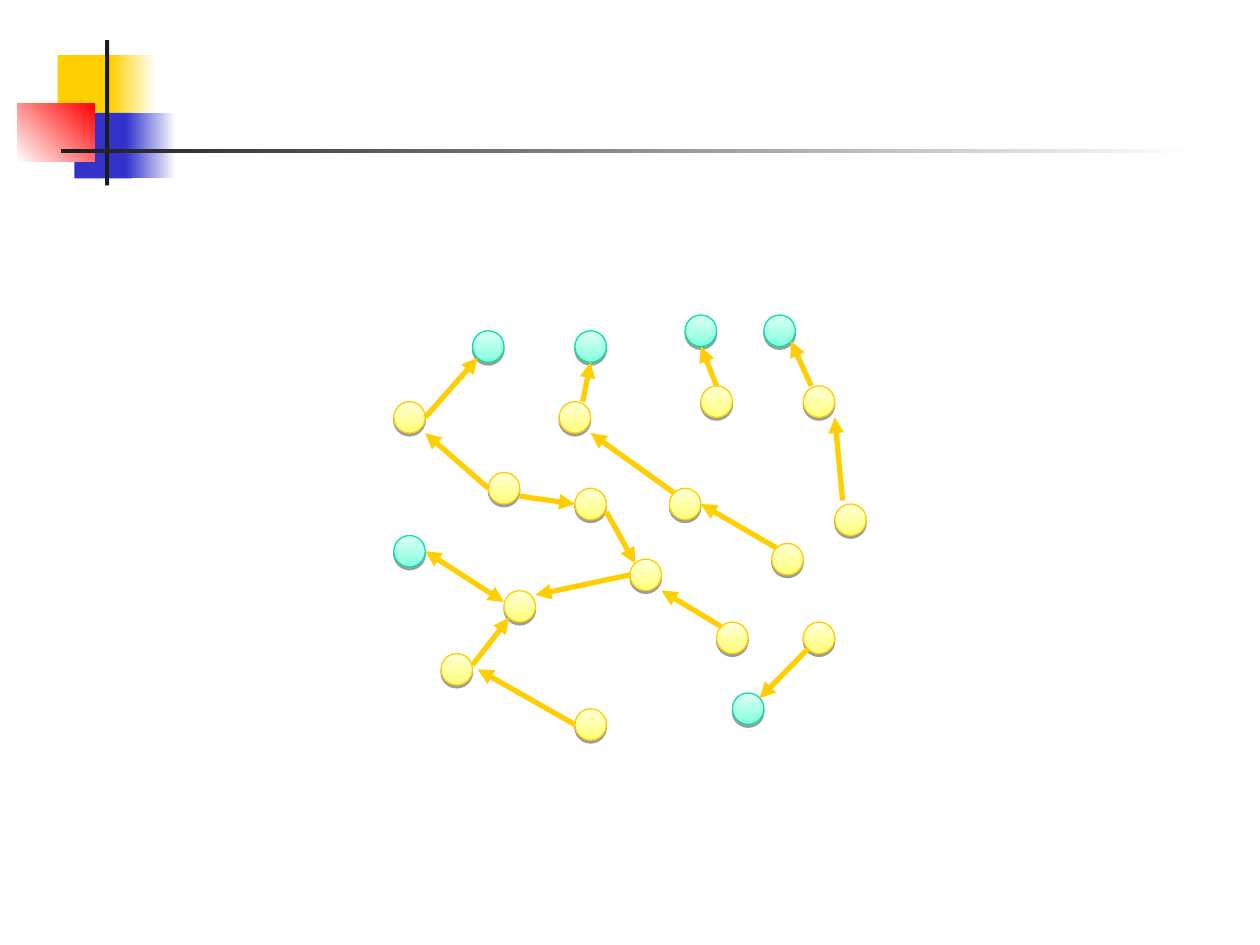
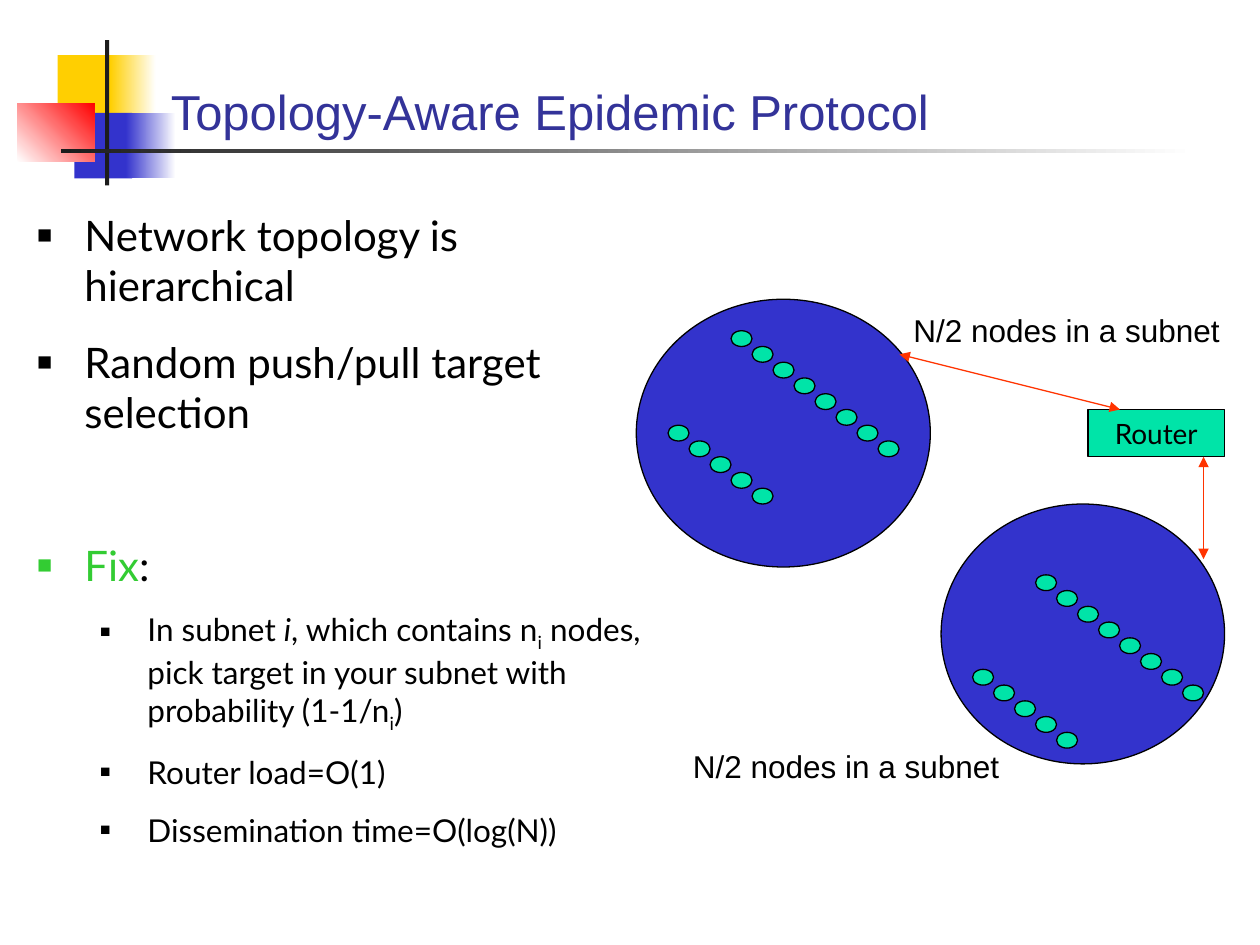
from dataclasses import dataclass

from lxml.etree import SubElement
from pptx import Presentation
from pptx.dml.color import RGBColor
from pptx.enum.shapes import MSO_CONNECTOR as Connector, MSO_SHAPE as Shape
from pptx.enum.text import MSO_ANCHOR as Anchor, PP_ALIGN as Align
from pptx.oxml.ns import qn
from pptx.util import Pt


@dataclass(frozen=True)
class Theme:
    yellow: str = "FFCF01"
    blue: str = "3333CC"
    red: str = "FF0000"
    white: str = "FFFFFF"
    black: str = "000000"
    rule: str = "1C1C1C"
    title: str = "333399"
    green: str = "00E4A8"
    fix: str = "33CC33"
    link: str = "FF3300"
    # Node looks: bottom colour, top colour, outline
    infected: tuple = ("85FFDE", "DCFFF5", "00E4A7")
    waiting: tuple = ("FFFF78", "FFFFD7", "FFCE00")
    heading_font: str = "Arial"
    body_font: str = "Lato"
    title_size: float = 28
    body_size: float = 24
    detail_size: float = 18
    label_size: float = 18
    router_size: float = 16
    outline: float = 0.75


THEME = Theme()
NODE_SIZE = 18
DOT_WIDTH, DOT_HEIGHT = 12, 9

# Left and top of each node
INFECTED_NODES = [(270, 189), (328.5, 189), (391.5, 180), (436.5, 180),
                  (225, 306), (418.5, 396)]
WAITING_NODES = [(225, 229.5), (319.5, 229.5), (400.5, 220.5), (459, 220.5),
                 (279, 270), (328.5, 279), (382.5, 279), (477, 288),
                 (441, 310.5), (360, 319.5), (288, 337.5), (409.5, 355.5),
                 (459, 355.5), (252, 373.5), (328.5, 405)]
# Start and end of each message; the arrowhead is at the end
MESSAGES = [((243, 238.5), (273, 204.5)), ((333, 229.5), (337.5, 207)),
            ((409.5, 220.5), (400.5, 198)), ((463.5, 220.5), (452, 195)),
            ((461.5, 371), (434, 399)), ((297, 283.5), (328.5, 288)),
            ((328.5, 414), (273, 382.5)), ((481.5, 286), (477, 238.5)),
            ((443.5, 313), (400.5, 288)), ((412, 358), (378, 337.5)),
            ((346.5, 292.5), (363, 322)), ((385, 281.5), (337.5, 247.5)),
            ((279, 279), (243, 247.5)), ((270, 380), (291, 353)),
            ((360, 328.5), (306, 340))]
EXCHANGE = ((243, 315), (288, 344))


def rgb(color):
    return RGBColor.from_string(color)


# Shapes and lines
def add_filled(slide, kind, box, fill, outline=None, angle=0):
    """Fill is one colour, or a pair for a gradient at a counterclockwise angle."""
    shape = slide.shapes.add_shape(kind, *map(Pt, box))
    shape.shadow.inherit = False
    if isinstance(fill, str):
        shape.fill.solid()
        shape.fill.fore_color.rgb = rgb(fill)
    else:
        shape.fill.gradient()
        shape.fill.gradient_angle = angle
        for stop, color, position in zip(shape.fill.gradient_stops, fill, (0, 1)):
            stop.color.rgb = rgb(color)
            stop.position = position
    if outline:
        shape.line.color.rgb = rgb(outline)
        shape.line.width = Pt(THEME.outline)
    else:
        shape.line.fill.background()
    return shape


def add_node(slide, position, look):
    bottom, top, outline = look
    node = add_filled(slide, Shape.OVAL, (*position, NODE_SIZE, NODE_SIZE),
                      (bottom, top), outline, angle=90)
    effects = node.element.spPr.find(qn("a:effectLst"))
    shadow = SubElement(effects, qn("a:outerShdw"), blurRad="0",
                        dist=str(Pt(1.6)), dir="5400000", rotWithShape="0")
    color = SubElement(shadow, qn("a:srgbClr"), val=THEME.black)
    SubElement(color, qn("a:alpha"), val="38000")


def add_arrow(slide, start, end, color, width, both_ends=False):
    arrow = slide.shapes.add_connector(Connector.STRAIGHT, *map(Pt, (*start, *end)))
    arrow.line.color.rgb = rgb(color)
    arrow.line.width = Pt(width)
    line = arrow.line._get_or_add_ln()
    for tag in ("a:headEnd", "a:tailEnd") if both_ends else ("a:tailEnd",):
        SubElement(line, qn(tag), type="triangle")
    SubElement(arrow.element.spPr, qn("a:effectLst"))


def add_subnet(slide, box, first_dot):
    add_filled(slide, Shape.OVAL, box, THEME.blue, THEME.black)
    left, top = first_dot
    for row_left, row_top, count in ((left, top, 5), (left + 36, top - 54, 8)):
        for step in range(count):
            dot = (row_left + step * DOT_WIDTH, row_top + step * DOT_HEIGHT,
                   DOT_WIDTH, DOT_HEIGHT)
            add_filled(slide, Shape.OVAL, dot, THEME.green, THEME.black)


# Text
def add_run(paragraph, text, font=THEME.body_font, size=THEME.body_size,
            color=THEME.black, italic=None, subscript=False):
    run = paragraph.add_run()
    run.text = text
    run.font.name = font
    run.font.size = Pt(size)
    run.font.color.rgb = rgb(color)
    run.font.italic = italic
    if subscript:
        run._r.get_or_add_rPr().set("baseline", "-25000")


def add_text_box(slide, box, anchor=Anchor.TOP):
    frame = slide.shapes.add_textbox(*map(Pt, box)).text_frame
    frame.word_wrap = True
    frame.vertical_anchor = anchor
    return frame


def add_label(slide, text, left, top):
    frame = add_text_box(slide, (left, top, 198, 29))
    add_run(frame.paragraphs[0], text, font=THEME.heading_font, size=THEME.label_size)


def format_bullet(paragraph, level, space_before, color):
    properties = paragraph._p.get_or_add_pPr()
    properties.set("marL", str(Pt(63 if level else 27)))
    properties.set("indent", str(Pt(-27)))
    bullet_color = SubElement(properties, qn("a:buClr"))
    SubElement(bullet_color, qn("a:srgbClr"), val=color)
    SubElement(properties, qn("a:buSzPct"), val="55000" if level else "60000")
    SubElement(properties, qn("a:buFont"), typeface=THEME.heading_font)
    SubElement(properties, qn("a:buChar"), char="■")
    paragraph.level = level
    paragraph.space_before = Pt(space_before)


def add_bullets(slide, box, bullets):
    """Each bullet is a level, a space before, a colour and its runs."""
    frame = add_text_box(slide, box)
    for index, (level, space_before, color, runs) in enumerate(bullets):
        paragraph = frame.add_paragraph() if index else frame.paragraphs[0]
        format_bullet(paragraph, level, space_before, color)
        for text, text_format in runs:
            size = THEME.detail_size if level else THEME.body_size
            add_run(paragraph, text, size=size, **text_format)


# Shared slide frame
def add_slide(presentation, title=None):
    slide = presentation.slides.add_slide(presentation.slide_layouts[6])
    for box, fill, angle in (
            ((33, 31.5, 35, 37.5), THEME.yellow, 0),
            ((63, 31.5, 26, 37.5), (THEME.yellow, THEME.white), 0),
            ((42.5, 64.5, 33, 37.5), THEME.blue, 0),
            ((72, 64.5, 28.5, 37.5), (THEME.blue, THEME.white), 0),
            ((10, 59, 44, 33.5), (THEME.white, THEME.red), 45),
            ((60, 23, 2.4, 83), THEME.rule, 0),
            ((35, 85.2, 648, 2.2), (THEME.rule, THEME.white), 0)):
        add_filled(slide, Shape.RECTANGLE, box, fill, angle=angle)
    if title:
        frame = add_text_box(slide, (90.5, 16.5, 613.5, 67), anchor=Anchor.BOTTOM)
        add_run(frame.paragraphs[0], title, font=THEME.heading_font,
                size=THEME.title_size, color=THEME.title)
    return slide


# Slides
def build_gossip_slide(presentation):
    slide = add_slide(presentation)
    for positions, look in ((INFECTED_NODES, THEME.infected),
                            (WAITING_NODES, THEME.waiting)):
        for position in positions:
            add_node(slide, position, look)
    for start, end in MESSAGES:
        add_arrow(slide, start, end, THEME.yellow, 3)
    add_arrow(slide, *EXCHANGE, THEME.yellow, 3, both_ends=True)


def build_topology_slide(presentation):
    slide = add_slide(presentation, "Topology-Aware Epidemic Protocol")
    add_bullets(slide, (14.2, 116, 376, 373), [
        (0, 0, THEME.black, [("Network topology is hierarchical", {})]),
        (0, 15, THEME.black, [("Random push/pull target selection", {})]),
        (0, 58.8, THEME.fix, [("Fix", {"color": THEME.fix}), (":", {})]),
        (1, 11.2, THEME.black, [
            ("In subnet ", {}), ("i", {"italic": True}),
            (", which contains n", {}), ("i", {"subscript": True}),
            (" nodes, pick target in your subnet with probability (1-1/n", {}),
            ("i", {"subscript": True}), (")", {})]),
        (1, 11.2, THEME.black, [("Router load=O(1)", {})]),
        (1, 11.2, THEME.black, [("Dissemination time=O(log(N))", {})]),
    ])

    # Two subnets joined by a router
    add_subnet(slide, (363.6, 171, 168, 153), (381.75, 243))
    add_subnet(slide, (537.75, 288, 162, 148.5), (555.75, 382.5))
    router = add_filled(slide, Shape.RECTANGLE, (621.75, 234, 78, 27),
                        THEME.green, THEME.black)
    router.text_frame.word_wrap = False
    router.text_frame.vertical_anchor = Anchor.MIDDLE
    paragraph = router.text_frame.paragraphs[0]
    paragraph.alignment = Align.CENTER
    add_run(paragraph, "Router", size=THEME.router_size)
    for start, end in (((514, 202.5), (640, 234)), ((687.75, 261), (687.75, 319.5))):
        add_arrow(slide, start, end, THEME.link, THEME.outline, both_ends=True)
    for left, top in ((514.8, 174.2), (388.8, 423.4)):
        add_label(slide, "N/2 nodes in a subnet", left, top)


def main():
    presentation = Presentation()
    presentation.slide_width = Pt(720)
    presentation.slide_height = Pt(540)
    build_gossip_slide(presentation)
    build_topology_slide(presentation)
    presentation.save("out.pptx")


if __name__ == "__main__":
    main()
